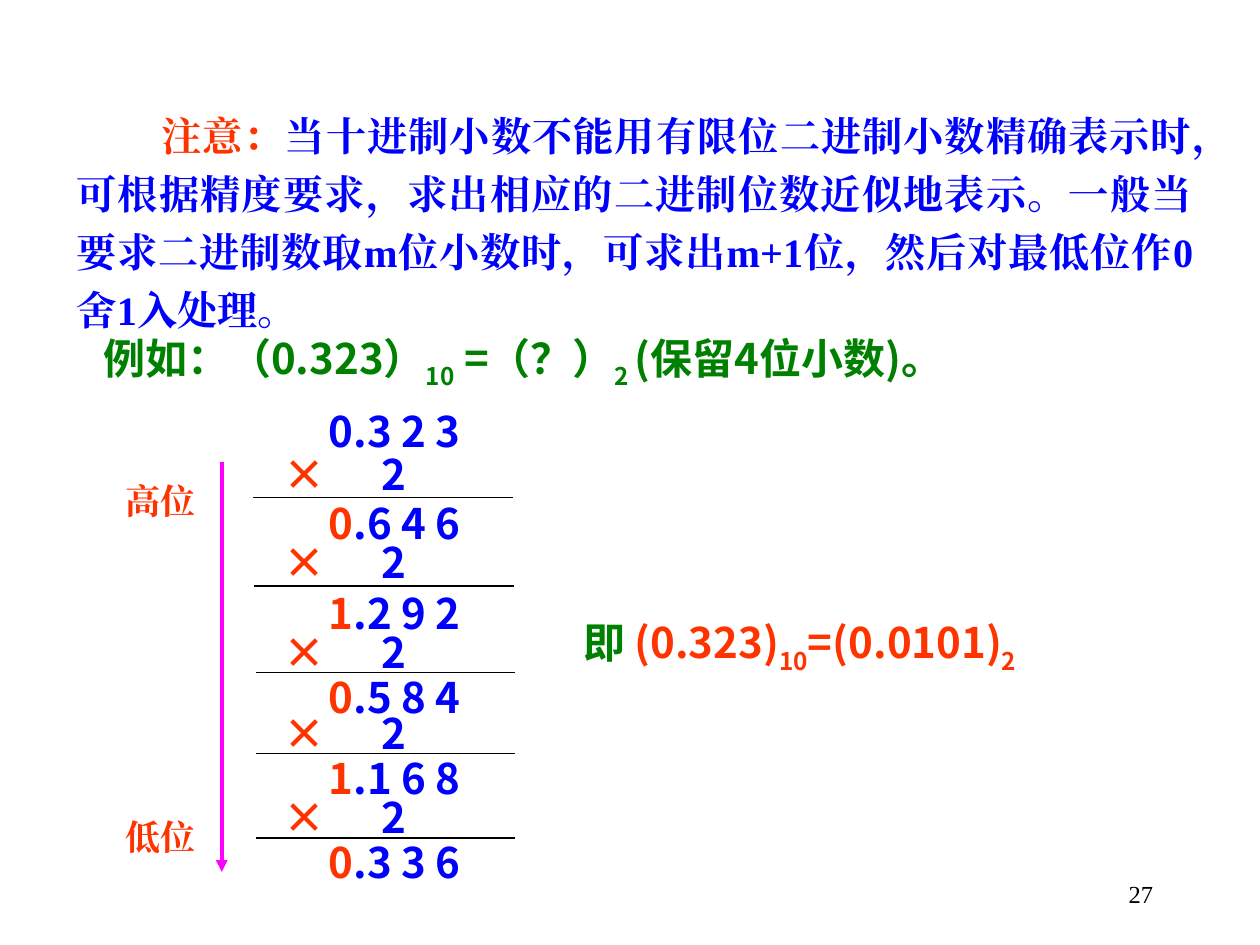
import pptx
import pptx.dml.color
import pptx.enum.shapes
import pptx.enum.text
import pptx.oxml.ns
import pptx.oxml.xmlchemy
import pptx.util

Inches = pptx.util.Inches
Align = pptx.enum.text.PP_ALIGN
SANS, SERIF = "Noto Sans CJK SC", "Times New Roman"
BLUE, RED, GREEN, BLACK, MAGENTA = "0000FF", "FF3300", "008000", "000000", "FF00FF"


def color(value):
    return pptx.dml.color.RGBColor.from_string(value)


def add_element(parent, tag, **attributes):
    element = pptx.oxml.xmlchemy.OxmlElement(tag)
    for name, value in attributes.items():
        element.set(name, str(value))
    parent.append(element)
    return element


def add_span(para, text, size=24, fill=BLUE, font=SANS, bold=True, baseline=0):
    """Add a run; baseline is a shift in percent, negative for subscripts."""
    span = para.add_run()
    span.text = text
    span.font.size = pptx.util.Pt(size)
    span.font.bold = bold
    span.font.name = font
    span.font.color.rgb = color(fill)
    properties = span.font._element
    add_element(properties, "a:ea", typeface=font)
    if baseline:
        properties.set("baseline", str(baseline * 1000))


class Page:
    def __init__(self, deck):
        self.slide = deck.slides.add_slide(deck.slide_layouts[6])

    def text(self, left, top, width, height, spans, align=Align.LEFT,
             wrap=True, spacing=None, indent=0, tab=None, middle=False):
        """Spans are pairs of text and format keywords."""
        box = self.slide.shapes.add_textbox(
            Inches(left), Inches(top), Inches(width), Inches(height))
        frame = box.text_frame
        frame.word_wrap = wrap
        if middle:
            frame.vertical_anchor = pptx.enum.text.MSO_ANCHOR.MIDDLE
        para = frame.paragraphs[0]
        para.alignment = align
        if spacing:
            para.line_spacing = spacing
        properties = para._p.get_or_add_pPr()
        if indent:
            properties.set("indent", str(Inches(indent)))
        if tab:
            tabs = add_element(properties, "a:tabLst")
            add_element(tabs, "a:tab", pos=Inches(tab), algn="l")
        for text, style in spans:
            add_span(para, text, **style)

    def line(self, start, end, fill=BLACK, width=0.75, arrow=False):
        line = self.slide.shapes.add_connector(
            pptx.enum.shapes.MSO_CONNECTOR.STRAIGHT,
            *(Inches(value) for value in (*start, *end)))
        line.line.color.rgb = color(fill)
        line.line.width = pptx.util.Pt(width)
        if arrow:
            add_element(line.line._get_or_add_ln(), "a:tailEnd", type="triangle")
        add_element(line._element.find(pptx.oxml.ns.qn("p:spPr")), "a:effectLst")


def add_statements(page):
    note = {"size": 23, "font": SERIF}
    page.text(0.51, 0.76, 9.06, 1.96, [
        ("注意：", {**note, "fill": RED}),
        ("当十进制小数不能用有限位二进制小数精确表示时，可根据精度要求，"
         "求出相应的二进制位数近似地表示。一般当要求二进制数取m位小数时，"
         "可求出m+1位，然后对最低位作0舍1入处理。", note),
    ], align=Align.JUSTIFY, spacing=1.2, indent=0.67)

    green = {"fill": GREEN}
    green_sub = {"fill": GREEN, "baseline": -25}
    page.text(0.42, 2.59, 9, 0.5, [
        ("例如：（0.323）", green), ("10", green_sub),
        (" =（？）", green), ("2 ", green_sub), ("(保留4位小数)。", green),
    ], indent=0.3)

    red = {"fill": RED}
    red_sub = {"fill": RED, "baseline": -30}
    page.text(4.53, 4.84, 4.25, 0.5, [
        ("即 ", green), ("(0.323)", red), ("10", red_sub),
        ("=(0.0101)", red), ("2", red_sub),
    ])


def add_multiplication(page):
    """Repeated doubling: each product's integer digit is one binary digit."""
    page.text(2.51, 3.17, 1.65, 0.5, [("0.3 2 3", {})])
    steps = [  # factor top, rule left, rule top, product top, digit, fraction
        (3.51, 2.01, 3.95, 3.90, "0", ".6 4 6"),
        (4.21, 2.02, 4.65, 4.61, "1", ".2 9 2"),
        (4.92, 2.03, 5.34, 5.28, "0", ".5 8 4"),
        (5.57, 2.03, 5.98, 5.92, "1", ".1 6 8"),
        (6.23, 2.03, 6.65, 6.59, "0", ".3 3 6"),
    ]
    for factor_top, rule_left, rule_top, product_top, digit, fraction in steps:
        page.text(2.15, factor_top, 2, 0.5,
                  [("×", {"fill": RED}), ("\t2", {})], tab=0.78)
        page.line((rule_left, rule_top), (rule_left + 2.06, rule_top))
        page.text(2.51, product_top, 1.6, 0.5,
                  [(digit, {"fill": RED}), (fraction, {})])

    page.line((1.76, 3.67), (1.76, 6.92), fill=MAGENTA, width=2.25, arrow=True)
    for label, top in (("高位", 3.76), ("低位", 6.42)):
        page.text(0.9, top, 0.78, 0.43,
                  [(label, {"size": 20, "fill": RED, "font": SERIF})], wrap=False)


def main():
    deck = pptx.Presentation()
    deck.slide_width, deck.slide_height = Inches(10), Inches(7.5)
    page = Page(deck)
    add_statements(page)
    add_multiplication(page)
    page.text(7.17, 6.84, 2.08, 0.5,
              [("27", {"size": 14, "fill": BLACK, "font": SERIF, "bold": False})],
              align=Align.RIGHT, middle=True)
    deck.save("out.pptx")


if __name__ == "__main__":
    main()
